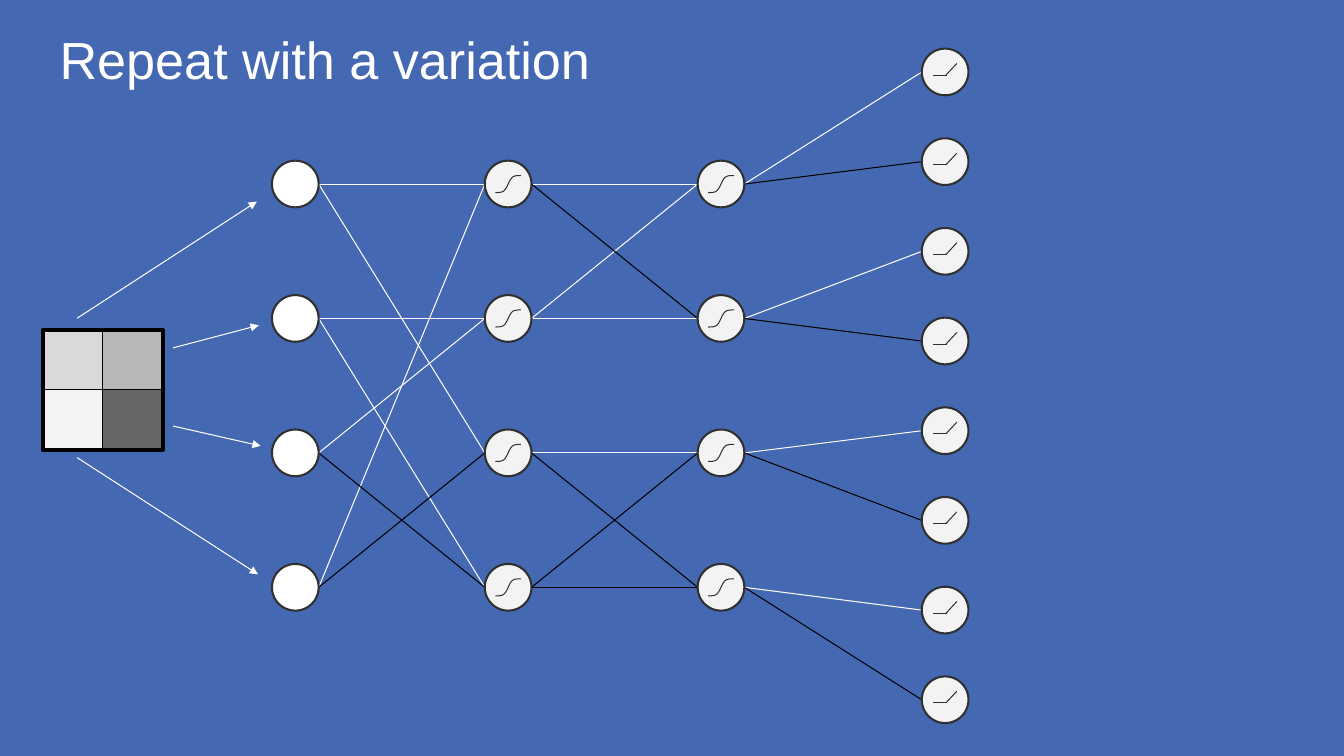
import math
import pptx
import pptx.util
import pptx.dml.color
import pptx.enum.shapes
import pptx.enum.text
import pptx.oxml
import pptx.oxml.ns
from pptx.util import Cm

COLORS = {"back": "4568B2", "white": "FFFFFF", "black": "000000",
          "node": "F3F3F3", "ink": "303030"}
PIXELS = [["D9D9D9", "B7B7B7"], ["F3F3F3", "666666"]]
NODE = 1.2
LAYERS = [
    {"x": 0, "y": 2.88, "step": 3.455, "count": 4, "fill": "white", "icon": None},
    {"x": 5.47, "y": 2.88, "step": 3.455, "count": 4, "fill": "node", "icon": "sigmoid"},
    {"x": 10.94, "y": 2.88, "step": 3.455, "count": 4, "fill": "node", "icon": "sigmoid"},
    {"x": 16.7, "y": 0, "step": 2.305, "count": 8, "fill": "node", "icon": "relu"},
]
EDGES = [
    {"white": [(0, 0), (3, 0), (2, 1), (1, 1), (0, 2), (1, 3)],
     "black": [(2, 3), (3, 2)]},
    {"white": [(0, 0), (1, 0), (1, 1), (2, 2)],
     "black": [(0, 1), (2, 3), (3, 3), (3, 2)]},
    {"white": [(i, 2 * i) for i in range(4)],
     "black": [(i, 2 * i + 1) for i in range(4)]},
]


def rgb(color):
    """Return the colour for a palette name or hex string."""
    return pptx.dml.color.RGBColor.from_string(COLORS.get(color, color))


def outline(sp, color, width):
    """Set the line colour and width in points."""
    sp.line.color.rgb = rgb(color)
    sp.line.width = pptx.util.Pt(width)


def shape(s, kind, x, y, w, h, fill, line, width):
    """Add a preset shape, unfilled when fill is None."""
    sp = s.shapes.add_shape(kind, Cm(x), Cm(y), Cm(w), Cm(h))
    sp.shadow.inherit = False
    if fill:
        sp.fill.solid()
        sp.fill.fore_color.rgb = rgb(fill)
    else:
        sp.fill.background()
    outline(sp, line, width)
    return sp


def line(s, start, end, color, arrow=False):
    """Add a thin straight line, with an arrowhead at its end if asked."""
    c = s.shapes.add_connector(pptx.enum.shapes.MSO_CONNECTOR.STRAIGHT,
                               *(Cm(v) for v in (*start, *end)))
    outline(c, color, 0.75)
    if arrow:
        tail = pptx.oxml.parse_xml(
            '<a:tailEnd %s type="triangle"/>' % pptx.oxml.ns.nsdecls("a"))
        c.line._get_or_add_ln().append(tail)
    c._element.spPr.append(pptx.oxml.parse_xml(
        "<a:effectLst %s/>" % pptx.oxml.ns.nsdecls("a")))


def write(tf, text, font="Arial", size=38, color="white"):
    """Put formatted text into a text frame."""
    r = tf.paragraphs[0].add_run()
    r.text = text
    r.font.name = font
    r.font.size = pptx.util.Pt(size)
    r.font.color.rgb = rgb(color)


def title(s, text, x, y, w, h):
    """Place the slide title in the given box."""
    sp = s.shapes.title
    sp.left, sp.top, sp.width, sp.height = Cm(x), Cm(y), Cm(w), Cm(h)
    tf = sp.text_frame
    tf.word_wrap = True
    tf.auto_size = pptx.enum.text.MSO_AUTO_SIZE.NONE
    tf.vertical_anchor = pptx.enum.text.MSO_ANCHOR.TOP
    tf.margin_left = tf.margin_right = Cm(0.36)
    tf.margin_top, tf.margin_bottom = Cm(0.46), 0
    tf.paragraphs[0].alignment = pptx.enum.text.PP_ALIGN.LEFT
    write(tf, text)


def pixel_grid(s, x, y, size):
    """Draw the four-pixel input and the arrows leaving it."""
    rect = pptx.enum.shapes.MSO_SHAPE.RECTANGLE
    cell = size / 2
    for row, fills in enumerate(PIXELS):
        for col, fill in enumerate(fills):
            shape(s, rect, x + col * cell, y + row * cell, cell, cell,
                  fill, "black", 0.75)
    shape(s, rect, x, y, size, size, None, "black", 3)
    for x1, y1, x2, y2 in [(0.88, -0.3, 5.5, -3.3), (3.35, 0.46, 5.55, -0.12),
                           (3.35, 2.47, 5.6, 2.98), (0.88, 3.28, 5.53, 6.28)]:
        line(s, (x + x1, y + y1), (x + x2, y + y2), "white", arrow=True)


def sigmoid(s, x, y):
    """Draw an S curve centred on a point."""
    points = [(Cm(x + t), Cm(y - 0.22 * math.tanh(t / 0.1)))
              for t in (i * 0.033 for i in range(-10, 11))]
    fb = s.shapes.build_freeform(*points[0])
    fb.add_line_segments(points[1:], close=False)
    sp = fb.convert_to_shape()
    sp.shadow.inherit = False
    sp.fill.background()
    outline(sp, "ink", 0.75)


def relu(s, x, y):
    """Draw a flat line that turns upwards, centred on a point."""
    line(s, (x - 0.3, y + 0.08), (x + 0.04, y + 0.08), "ink")
    line(s, (x + 0.02, y + 0.08), (x + 0.3, y - 0.22), "ink")


def network(s, x, y):
    """Draw the layers and edges, from the first column and top node centre."""
    icons = {"sigmoid": sigmoid, "relu": relu}
    centers = [[(x + a["x"], y + a["y"] + i * a["step"]) for i in range(a["count"])]
               for a in LAYERS]
    half = NODE / 2
    for left, right, edges in zip(centers, centers[1:], EDGES):
        for color, pairs in edges.items():
            for i, j in pairs:
                line(s, (left[i][0] + half, left[i][1]),
                     (right[j][0] - half, right[j][1]), color)
    for layer, nodes in zip(LAYERS, centers):
        for cx, cy in nodes:
            shape(s, pptx.enum.shapes.MSO_SHAPE.OVAL, cx - half, cy - half,
                  NODE, NODE, layer["fill"], "ink", 1.5)
            if layer["icon"]:
                icons[layer["icon"]](s, cx, cy)


def main():
    """Build and save the slide."""
    prs = pptx.Presentation()
    prs.slide_width, prs.slide_height = Cm(34.54), Cm(19.43)
    s = prs.slides.add_slide(prs.slide_layouts[5])
    s.background.fill.solid()
    s.background.fill.fore_color.rgb = rgb("back")
    title(s, "Repeat with a variation", 1.17, 0.25, 32.18, 2.16)
    pixel_grid(s, 1.1, 8.48, 3.08)
    network(s, 7.59, 1.85)
    prs.save("out.pptx")


if __name__ == "__main__":
    main()
